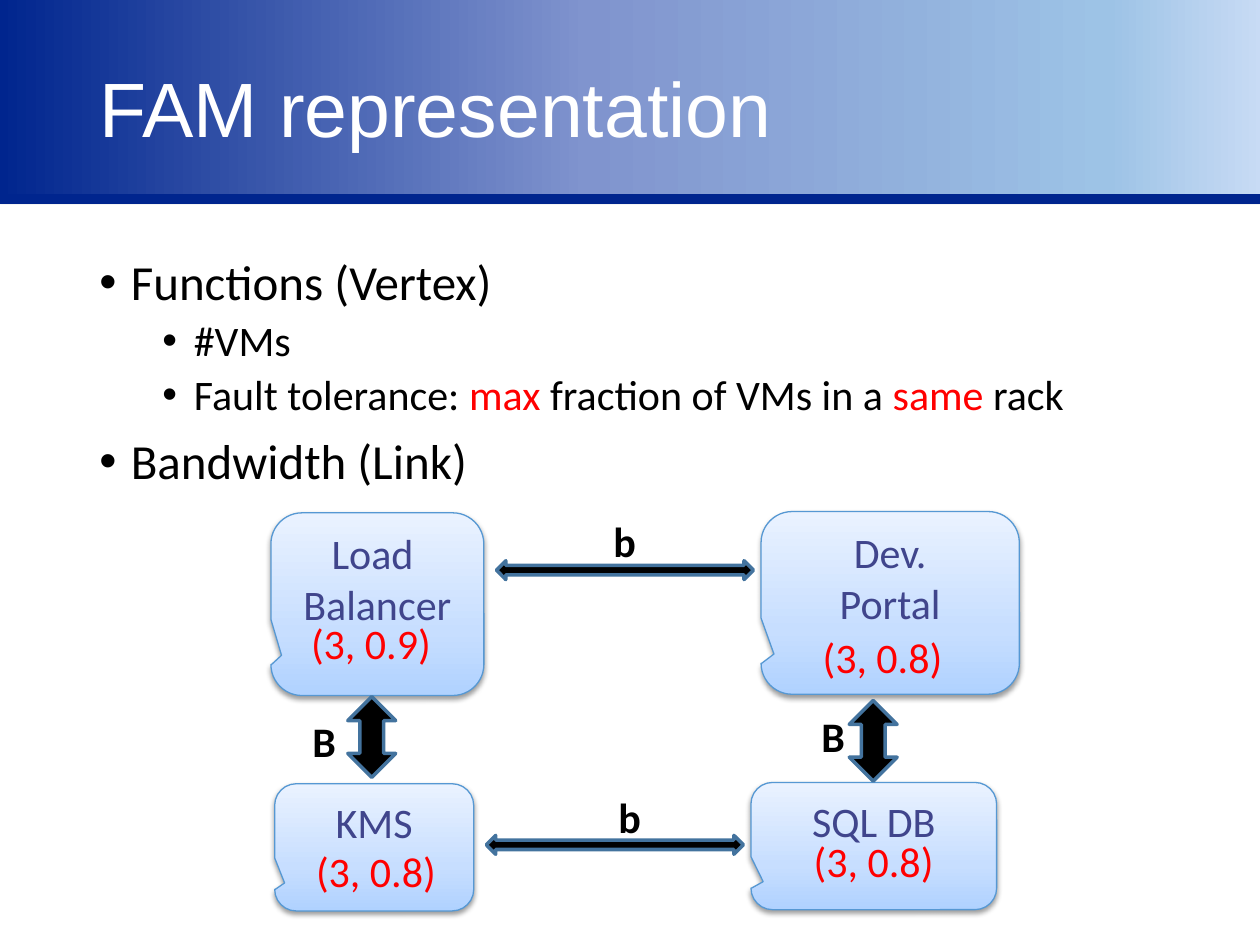
from dataclasses import dataclass

from lxml import etree
from pptx import Presentation
from pptx.dml.color import RGBColor
from pptx.enum.shapes import MSO_CONNECTOR, MSO_SHAPE
from pptx.enum.text import MSO_ANCHOR, PP_ALIGN
from pptx.oxml.ns import qn
from pptx.util import Inches, Pt

RECT = MSO_SHAPE.RECTANGLE
CALLOUT = MSO_SHAPE.ROUNDED_RECTANGULAR_CALLOUT
ARROW = MSO_SHAPE.LEFT_RIGHT_ARROW
STRAIGHT = MSO_CONNECTOR.STRAIGHT
MIDDLE = MSO_ANCHOR.MIDDLE
LEFT, CENTER = PP_ALIGN.LEFT, PP_ALIGN.CENTER
COLS, ROWS, CELL = 100, 75, 0.1


@dataclass(frozen=True)
class Theme:
    """Colours, fonts and type sizes of the slide."""
    navy: str = "00258E"
    white: str = "FFFFFF"
    black: str = "000000"
    red: str = "FF0000"
    label: str = "40458C"
    rim: str = "5698D3"
    edge: str = "43739E"
    frame: str = "3F6FC3"
    head: str = "Arial"
    body: str = "Calibri"
    title: int = 44
    large: int = 28
    small: int = 24
    sky: tuple = ((0, "00258E"), (43, "8094CE"), (81, "9DC3E6"), (100, "E7ECFF"))
    ice: tuple = ((0, "B0D2FF"), (35, "C7DEFF"), (100, "EAF2FF"))


THEME = Theme()


def rgb(code):
    """Turn a hex code into a colour."""
    return RGBColor.from_string(code)


def grid(*cells):
    """Turn counts of grid cells into lengths."""
    return [Inches(count * CELL) for count in cells]


def style(para, size, color, face=THEME.body, bold=False):
    """Set the font of a whole paragraph."""
    font = para.font
    font.name, font.size, font.bold = face, Pt(size), bold
    font.color.rgb = rgb(color)


def outline(shape, color, width):
    """Set the colour and width of a line."""
    shape.line.color.rgb = rgb(color)
    shape.line.width = Pt(width)


def shade(shape, stops, angle):
    """Fill a shape with a gradient."""
    shape.fill.gradient()
    shape.fill.gradient_angle = angle
    ramp = shape.element.spPr.find(qn("a:gradFill")).find(qn("a:gsLst"))
    for stop in list(ramp):
        ramp.remove(stop)
    for place, color in stops:
        stop = etree.SubElement(ramp, qn("a:gs"), pos=str(place * 1000))
        etree.SubElement(stop, qn("a:srgbClr"), val=color)


def soften(shape):
    """Give a shape a soft shadow below it."""
    shape.shadow.inherit = False
    effects = shape.element.spPr.find(qn("a:effectLst"))
    drop = etree.SubElement(
        effects, qn("a:outerShdw"), blurRad=str(Pt(3.1)), dist=str(Pt(1.6)),
        dir="5400000", rotWithShape="0")
    color = etree.SubElement(drop, qn("a:srgbClr"), val=THEME.black)
    etree.SubElement(color, qn("a:alpha"), val="38000")


def header(slide, text):
    """Draw the banner, its rule and the title."""
    band = slide.shapes.add_shape(RECT, *grid(-0.1, -1, 108.7, 16.5))
    shade(band, THEME.sky, 0)
    outline(band, THEME.frame, 0.75)
    soften(band)
    rule = slide.shapes.add_connector(STRAIGHT, *grid(-7.9, 15.8, 105.6, 15.8))
    outline(rule, THEME.navy, 6)
    etree.SubElement(rule.element.spPr, qn("a:effectLst"))
    title = slide.shapes.title
    title.left, title.top, title.width, title.height = grid(6.9, 2.4, 101.8, 13)
    frame = title.text_frame
    frame.text = text
    frame.vertical_anchor = MIDDLE
    para = frame.paragraphs[0]
    para.alignment, para.line_spacing = LEFT, 0.9
    style(para, THEME.title, THEME.white, THEME.head)
    slide.shapes.element.append(title.element)


def bullet(para, level, parts):
    """Write one bullet from pairs of text and colour."""
    para.level = level
    para.line_spacing = 0.9
    para.space_before = Pt(5 if level else 10)
    props = para._p.get_or_add_pPr()
    props.set("marL", str(Inches(0.25 + 0.5 * level)))
    props.set("indent", str(Inches(-0.25)))
    etree.SubElement(props, qn("a:buFont"), typeface=THEME.head)
    etree.SubElement(props, qn("a:buChar"), char="•")
    style(para, THEME.small if level else THEME.large, THEME.black)
    for text, color in parts:
        run = para.add_run()
        run.text = text
        if color != THEME.black:
            run.font.color.rgb = rgb(color)


def outlines(slide, items):
    """Write the bullet list."""
    frame = slide.shapes.add_textbox(*grid(6.9, 20, 86.2, 30)).text_frame
    frame.word_wrap = True
    for index, (level, parts) in enumerate(items):
        para = frame.add_paragraph() if index else frame.paragraphs[0]
        bullet(para, level, parts)


def node(slide, area, lines):
    """Draw a callout with its name above a free line."""
    shape = slide.shapes.add_shape(CALLOUT, *grid(*area))
    for index, value in enumerate((-0.45, 0.28, 0.17)):
        shape.adjustments[index] = value
    shade(shape, THEME.ice, 90)
    outline(shape, THEME.rim, 0.75)
    soften(shape)
    frame = shape.text_frame
    frame.word_wrap = True
    frame.vertical_anchor = MIDDLE
    frame.margin_bottom = Inches(0.46)
    for index, line in enumerate(lines):
        para = frame.add_paragraph() if index else frame.paragraphs[0]
        para.text, para.alignment = line, CENTER
        style(para, THEME.small, THEME.label)


def arrow(slide, area, turn):
    """Draw a double arrow."""
    shape = slide.shapes.add_shape(ARROW, *grid(*area))
    shape.rotation = turn
    shape.fill.solid()
    shape.fill.fore_color.rgb = rgb(THEME.black)
    outline(shape, THEME.edge, 2)
    shape.shadow.inherit = False


def label(slide, col, row, wide, text, color, bold=False):
    """Write one line of text."""
    frame = slide.shapes.add_textbox(*grid(col, row, wide, 5)).text_frame
    frame.word_wrap = True
    para = frame.paragraphs[0]
    para.text = text
    style(para, THEME.small, color, bold=bold)


def main():
    """Build the slide and save it."""
    deck = Presentation()
    deck.slide_width, deck.slide_height = grid(COLS, ROWS)
    slide = deck.slides.add_slide(deck.slide_layouts[5])
    black, red = THEME.black, THEME.red
    header(slide, "FAM representation")
    outlines(slide, (
        (0, [("Functions (Vertex)", black)]),
        (1, [("#VMs", black)]),
        (1, [("Fault tolerance: ", black), ("max", red),
             (" fraction of VMs in a ", black), ("same", red), (" rack", black)]),
        (0, [("Bandwidth (Link)", black)])))
    for area, lines in (((21.5, 40.7, 16.9, 14.5), ("Load ", "Balancer")),
                        ((60.4, 40.6, 20.5, 14.5), ("Dev.", "Portal")),
                        ((21.8, 62.2, 15.8, 10.1), ("KMS",)),
                        ((59.6, 62.1, 19.5, 10.1), ("SQL DB",))):
        node(slide, area, lines)
    for col, row, text in ((23.7, 48.5, "(3, 0.9)"), (64.3, 49.6, "(3, 0.8)"),
                           (24.1, 66.6, "(3, 0.8)"), (63.6, 65.8, "(3, 0.8)")):
        label(slide, col, row, 17.5, text, red)
    for col, row in ((39.4, 44.5), (38.6, 66.3)):
        arrow(slide, (col, row, 20.4, 1.5), 0)
    for col, row in ((26.3, 56.6), (66.1, 56.9)):
        arrow(slide, (col, row, 6.4, 3.8), 90)
    for col, row, text in ((47.7, 40.4, "b"), (48.1, 62.3, "b"),
                           (23.8, 56.3, "B"), (64.2, 55.9, "B")):
        label(slide, col, row, 5.1, text, black, True)
    deck.save("out.pptx")


if __name__ == "__main__":
    main()
